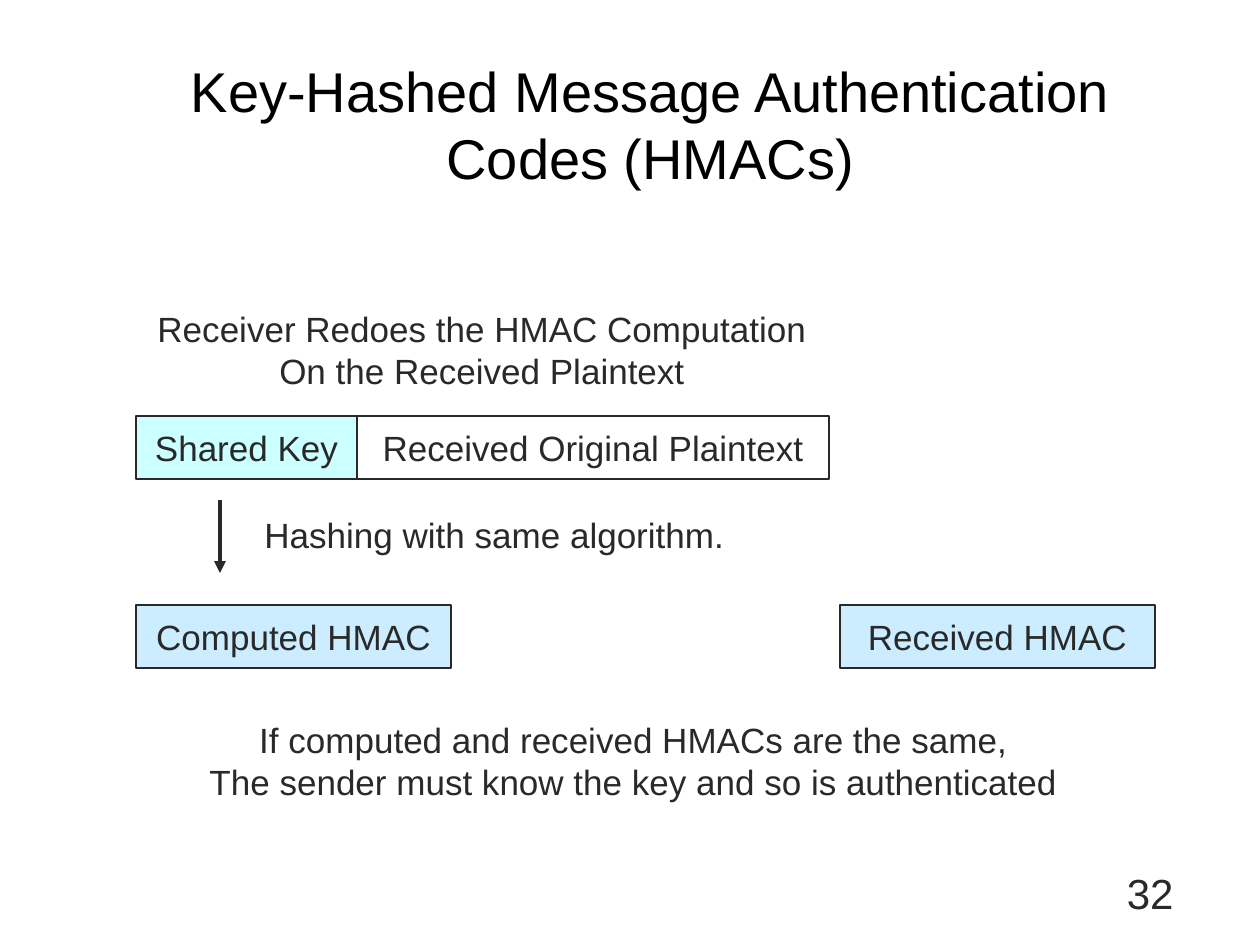
from lxml.etree import SubElement
from pptx import Presentation
from pptx.dml.color import RGBColor
from pptx.enum.shapes import MSO_CONNECTOR, MSO_SHAPE
from pptx.enum.text import MSO_ANCHOR, MSO_AUTO_SIZE, PP_ALIGN
from pptx.oxml.ns import qn
from pptx.util import Emu, Pt

PX_PER_INCH = 126
COLORS = {"ink": "292929", "title": "000000", "key": "CCFFFF",
          "hmac": "CCECFF", "plaintext": "FFFFFF"}


def px(*lengths):
    return [Emu(round(length * 914400 / PX_PER_INCH)) for length in lengths]


def write(frame, lines, size=20, align=PP_ALIGN.CENTER, color="ink"):
    for number, line in enumerate(lines):
        paragraph = frame.add_paragraph() if number else frame.paragraphs[0]
        paragraph.alignment = align
        run = paragraph.add_run()
        run.text = line
        run.font.name = "Arial"
        run.font.size = Pt(size)
        run.font.color.rgb = RGBColor.from_string(COLORS[color])


presentation = Presentation()
presentation.slide_width, presentation.slide_height = px(1260, 945)
slide = presentation.slides.add_slide(presentation.slide_layouts[5])

# Title
title = slide.shapes.title
title.left, title.top, title.width, title.height = px(136, 31, 1029, 166)
title.text_frame.vertical_anchor = MSO_ANCHOR.BOTTOM
title.text_frame.auto_size = MSO_AUTO_SIZE.NONE
write(title.text_frame, ["Key-Hashed Message Authentication Codes (HMACs)"],
      size=32, color="title")

# Key and plaintext side by side, the two HMACs in the row below
KEY_LEFT, KEY_WIDTH, BOX_HEIGHT = 136, 221, 63
MESSAGE_TOP, HMAC_TOP, HMAC_WIDTH = 416, 605, 315
boxes = [
    ("Shared Key", KEY_LEFT, MESSAGE_TOP, KEY_WIDTH, "key"),
    ("Received Original Plaintext", KEY_LEFT + KEY_WIDTH, MESSAGE_TOP, 472, "plaintext"),
    ("Computed HMAC", KEY_LEFT, HMAC_TOP, HMAC_WIDTH, "hmac"),
    ("Received HMAC", 840, HMAC_TOP, HMAC_WIDTH, "hmac"),
]
for label, left, top, width, fill in boxes:
    box = slide.shapes.add_shape(MSO_SHAPE.RECTANGLE, *px(left, top, width, BOX_HEIGHT))
    box.shadow.inherit = False
    box.fill.solid()
    box.fill.fore_color.rgb = RGBColor.from_string(COLORS[fill])
    box.line.color.rgb = RGBColor.from_string(COLORS["ink"])
    box.line.width = Pt(0.75)
    box.text_frame.word_wrap = False
    box.text_frame.vertical_anchor = MSO_ANCHOR.MIDDLE
    write(box.text_frame, [label])

# Hashing arrow
hashing = slide.shapes.add_connector(MSO_CONNECTOR.STRAIGHT, *px(220, 500, 220, 573))
hashing.line.color.rgb = RGBColor.from_string(COLORS["ink"])
hashing.line.width = Pt(2.25)
SubElement(hashing.line._get_or_add_ln(), qn("a:tailEnd"), type="triangle")
SubElement(hashing._element.spPr, qn("a:effectLst"))

# Explanations
captions = [
    (["Receiver Redoes the HMAC Computation", "On the Received Plaintext"],
     (145, 301, 674, 97), PP_ALIGN.CENTER),
    (["Hashing with same algorithm."], (252, 507, 485, 55), PP_ALIGN.LEFT),
    (["If computed and received HMACs are the same,",
      "The sender must know the key and so is authenticated"],
     (197, 712, 873, 97), PP_ALIGN.CENTER),
]
for lines, area, align in captions:
    caption = slide.shapes.add_textbox(*px(*area))
    caption.text_frame.word_wrap = False
    caption.text_frame.auto_size = MSO_AUTO_SIZE.SHAPE_TO_FIT_TEXT
    write(caption.text_frame, lines, align=align)

# Slide number
page_number = slide.shapes.add_textbox(*px(924, 861, 262, 63))
page_number.text_frame.word_wrap = True
write(page_number.text_frame, ["32"], size=24, align=PP_ALIGN.RIGHT)

presentation.save("out.pptx")
